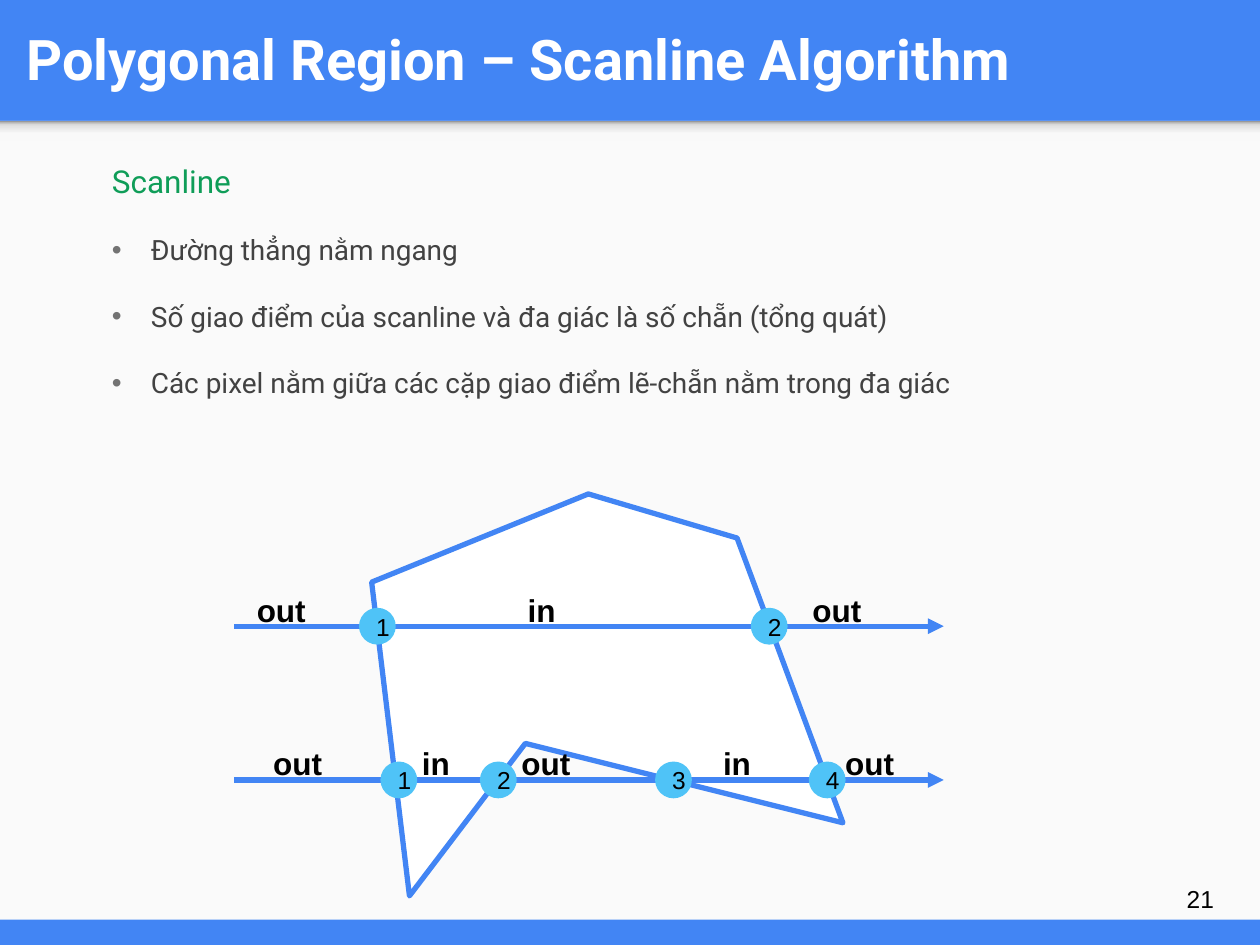
"""Build a slide on the scanline algorithm for polygonal regions."""
from lxml import etree
from pptx import Presentation
from pptx import util as u
from pptx.dml.color import RGBColor
from pptx.enum import shapes, text
from pptx.oxml import parse_xml
from pptx.oxml.ns import nsdecls, qn

BLUE = RGBColor(0x42, 0x85, 0xF4)
PAPER = RGBColor(0xFA, 0xFA, 0xFA)
WHITE = RGBColor(0xFF, 0xFF, 0xFF)
BLACK = RGBColor(0, 0, 0)
GREEN = RGBColor(0x0F, 0x9D, 0x58)
GRAY = RGBColor(0x42, 0x42, 0x42)
BULLET_GRAY = RGBColor(0x73, 0x73, 0x73)
CYAN = RGBColor(0x4F, 0xC3, 0xF7)

SHADOW_STOPS = [(0, "F9F9F9"), (36, "F9F9F9"), (80, "DEDEDE"), (100, "999999")]
POLYGON = [(4.67, 3.92), (2.95, 4.62), (3.25, 7.11), (4.17, 5.9), (6.69, 6.53), (5.85, 4.27)]
POINT_SIZE = 0.25
SCANLINES = [
    (4.97, [2.87, 5.98], [(1.94, "out"), (4.09, "in"), (6.35, "out")]),
    (6.19, [3.04, 3.83, 5.22, 6.44],
     [(2.07, "out"), (3.25, "in"), (4.04, "out"), (5.64, "in"), (6.61, "out")]),
]
BULLETS = [
    "Đường thẳng nằm ngang",
    "Số giao điểm của scanline và đa giác là số chẵn (tổng quát)",
    "Các pixel nằm giữa các cặp giao điểm lẽ-chẵn nằm trong đa giác",
]


def write(paragraph, string, size=14, font="Arial", color=BLACK, bold=False):
    """Add formatted text to a left-aligned paragraph."""
    paragraph.alignment = text.PP_ALIGN.LEFT
    run = paragraph.add_run()
    run.text = string
    run.font.size, run.font.name, run.font.bold = u.Pt(size), font, bold
    run.font.color.rgb = color


def set_frame(shape, inset=None, anchor=text.MSO_ANCHOR.TOP, wrap=True):
    """Set up the text frame of a shape and return it."""
    frame = shape.text_frame
    frame.word_wrap, frame.vertical_anchor = wrap, anchor
    frame.auto_size = text.MSO_AUTO_SIZE.NONE
    if inset is not None:
        frame.margin_left = frame.margin_right = u.Inches(inset)
        frame.margin_top = frame.margin_bottom = u.Inches(inset)
    return frame


def add_box(container, left, top, width, height, **frame_format):
    """Add a text box and return its frame."""
    box = container.shapes.add_textbox(*map(u.Inches, (left, top, width, height)))
    return set_frame(box, **frame_format)


def add_filled(container, kind, left, top, width, height, color):
    """Add a preset shape with a plain fill and no line."""
    shape = container.shapes.add_shape(kind, *map(u.Inches, (left, top, width, height)))
    shape.shadow.inherit = False
    shape.fill.solid()
    shape.fill.fore_color.rgb = color
    shape.line.fill.background()
    return shape


def set_line(shape, color):
    """Give a shape a solid line."""
    shape.line.color.rgb = color
    shape.line.width = u.Pt(3)


def add_background(slide):
    """Draw the blue bands, the light panel and the shadow below the title."""
    slide.background.fill.solid()
    slide.background.fill.fore_color.rgb = BLUE
    rectangle = shapes.MSO_SHAPE.RECTANGLE
    add_filled(slide, rectangle, 0, 0.96, 10, 6.34, PAPER)
    shadow = add_filled(slide, rectangle, 0, 0.96, 10, 0.16, PAPER)
    stops = "".join(f'<a:gs pos="{position * 1000}"><a:srgbClr val="{color}"/></a:gs>'
                    for position, color in SHADOW_STOPS)
    gradient = parse_xml(f'<a:gradFill {nsdecls("a")}><a:gsLst>{stops}</a:gsLst>'
                         '<a:lin ang="16200000" scaled="0"/></a:gradFill>')
    properties = shadow._element.spPr
    properties.replace(properties.find(qn("a:solidFill")), gradient)


def add_title(slide, string):
    """Place and fill the title placeholder."""
    title = slide.shapes.title
    title.left, title.top, title.width, title.height = map(u.Inches, (0.11, 0.02, 9.65, 0.88))
    frame = set_frame(title, inset=0.1, anchor=text.MSO_ANCHOR.MIDDLE)
    write(frame.paragraphs[0], string, size=32, font="Roboto", color=WHITE, bold=True)


def add_bullet(paragraph):
    """Give a paragraph a gray bullet and a hanging indent."""
    properties = paragraph._p.get_or_add_pPr()
    properties.set("marL", str(u.Inches(0.31)))
    properties.set("indent", str(-u.Inches(0.31)))
    color = etree.SubElement(properties, qn("a:buClr"))
    etree.SubElement(color, qn("a:srgbClr"), val=str(BULLET_GRAY))
    etree.SubElement(properties, qn("a:buFont"), typeface="Arial")
    etree.SubElement(properties, qn("a:buChar"), char="•")


def add_body(slide):
    """Write the heading and the bullet list."""
    frame = add_box(slide, 0.79, 1.14, 8.5, 1.92, inset=0.1)
    write(frame.paragraphs[0], "Scanline", size=18, font="Roboto", color=GREEN)
    for string in BULLETS:
        paragraph = frame.add_paragraph()
        add_bullet(paragraph)
        write(paragraph, string, size=16, font="Roboto", color=GRAY)
    for paragraph in frame.paragraphs:
        paragraph.line_spacing = 1.15
        paragraph.space_after = u.Pt(16)


def add_polygon(container):
    """Draw the polygonal region."""
    points = [(u.Inches(x), u.Inches(y)) for x, y in POLYGON]
    builder = container.shapes.build_freeform(*points[0], scale=1.0)
    builder.add_line_segments(points[1:], close=True)
    polygon = builder.convert_to_shape()
    polygon.shadow.inherit = False
    polygon.fill.solid()
    polygon.fill.fore_color.rgb = WHITE
    set_line(polygon, BLUE)


def add_arrow(container, y):
    """Draw a horizontal scanline that ends in an arrowhead."""
    arrow = container.shapes.add_connector(
        shapes.MSO_CONNECTOR.STRAIGHT, *map(u.Inches, (1.86, y, 7.49, y)))
    set_line(arrow, BLUE)
    etree.SubElement(arrow.line._get_or_add_ln(), qn("a:tailEnd"), type="triangle")
    etree.SubElement(arrow._element.spPr, qn("a:effectLst"))


def add_point(container, left, y, number):
    """Draw a numbered crossing point centred on a scanline."""
    point = add_filled(container, shapes.MSO_SHAPE.OVAL, left, y - POINT_SIZE / 2,
                       POINT_SIZE, POINT_SIZE, CYAN)
    set_line(point, CYAN)
    frame = set_frame(point, anchor=text.MSO_ANCHOR.MIDDLE, wrap=False)
    write(frame.paragraphs[0], str(number))


def add_diagram(slide):
    """Draw the polygon with its scanlines, crossings and labels."""
    diagram = slide.shapes.add_group_shape()
    add_polygon(diagram)
    for y, crossings, labels in SCANLINES:
        add_arrow(diagram, y)
        for number, left in enumerate(crossings, start=1):
            add_point(diagram, left, y, number)
        for left, string in labels:
            frame = add_box(diagram, left, y - 0.33, 0.67, 0.4)
            write(frame.paragraphs[0], string, size=18, bold=True)


def main():
    """Build and save the slide."""
    presentation = Presentation()
    presentation.slide_width, presentation.slide_height = u.Inches(10), u.Inches(7.5)
    slide = presentation.slides.add_slide(presentation.slide_layouts[5])
    add_background(slide)
    add_title(slide, "Polygonal Region – Scanline Algorithm")
    number = add_box(slide, 9.32, 6.85, 0.6, 0.57, inset=0.1, anchor=text.MSO_ANCHOR.MIDDLE)
    write(number.paragraphs[0], "21")
    add_body(slide)
    add_diagram(slide)
    presentation.save("out.pptx")


if __name__ == "__main__":
    main()
